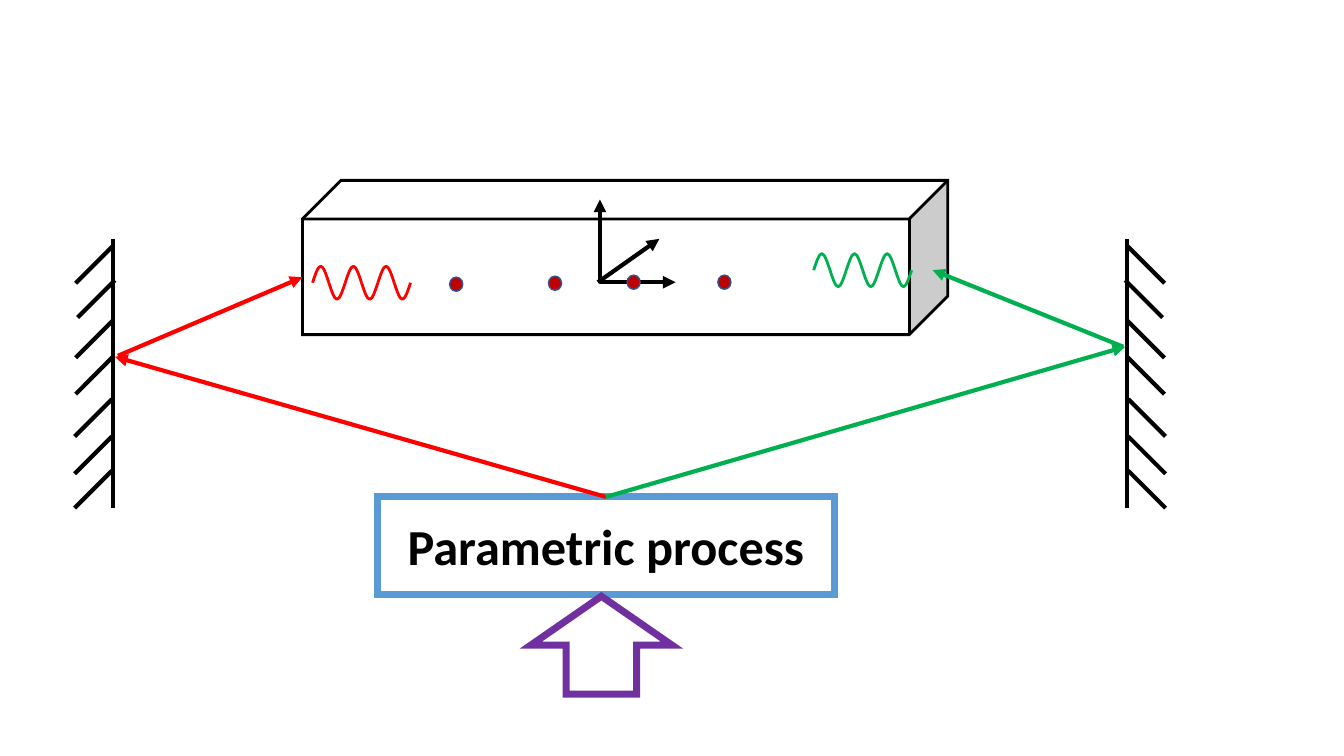
from lxml.etree import SubElement
from pptx import Presentation
from pptx.dml.color import RGBColor
from pptx.enum.shapes import MSO_CONNECTOR, MSO_SHAPE
from pptx.enum.text import MSO_ANCHOR, PP_ALIGN
from pptx.oxml.ns import qn
from pptx.util import Inches, Pt

BLACK = RGBColor(0x00, 0x00, 0x00)
WHITE = RGBColor(0xFF, 0xFF, 0xFF)
RED = RGBColor(0xFF, 0x00, 0x00)
GREEN = RGBColor(0x00, 0xB0, 0x50)
BLUE = RGBColor(0x5B, 0x9B, 0xD5)
PURPLE = RGBColor(0x70, 0x30, 0xA0)
DOT_RED = RGBColor(0xC0, 0x00, 0x00)
DOT_EDGE = RGBColor(0x32, 0x54, 0x91)

CELL = Inches(0.1)  # one column or row of the page grid
LABEL_FORMAT = {"name": "Calibri", "size": Pt(36), "bold": True}

# Two Bezier curves of an arch, as shares of its width and height
ARCH = [(1 / 6, 0.5), (1 / 3, 1), (1 / 2, 1), (2 / 3, 1), (5 / 6, 0.5), (1, 0)]


def cells(count):
    return round(count * CELL)


class Diagram:
    """Style and current page; every length is in grid cells."""

    def __init__(self, page):
        self.page = page

    def outline(self, item, color, width):
        """Set the line and return its element."""
        item.line.color.rgb = color
        item.line.width = Pt(width)
        return item._element.spPr.find(qn("a:ln"))

    def shape(self, kind, left, top, width, height, line, weight, fill=WHITE):
        box = self.page.shapes.add_shape(
            kind, cells(left), cells(top), cells(width), cells(height))
        box.shadow.inherit = False
        box.fill.solid()
        box.fill.fore_color.rgb = fill
        SubElement(self.outline(box, line, weight), qn("a:miter"), lim="800000")
        return box

    def label(self, box, text):
        frame = box.text_frame
        frame.word_wrap = True
        frame.vertical_anchor = MSO_ANCHOR.MIDDLE
        para = frame.paragraphs[0]
        para.alignment = PP_ALIGN.CENTER
        span = para.add_run()
        span.text = text
        for name, value in LABEL_FORMAT.items():
            setattr(span.font, name, value)
        span.font.color.rgb = BLACK

    def line(self, start, end, color=BLACK, arrow=False, group=None):
        holder = group or self.page
        link = holder.shapes.add_connector(
            MSO_CONNECTOR.STRAIGHT, *map(cells, (*start, *end)))
        stroke = self.outline(link, color, 3)
        if arrow:
            SubElement(stroke, qn("a:tailEnd"), type="triangle")
        SubElement(link._element.spPr, qn("a:effectLst"))

    def mirror(self, wall, side):
        """Wall with hatching on one side: -1 is left, 1 is right."""
        group = self.page.shapes.add_group_shape()
        self.line((wall, 23.7), (wall, 50.4), group=group)
        for shift, top in HATCHES:
            start = wall + side * shift
            self.line((start, top), (start + side * 3.7, top + 3.7), group=group)

    def wave(self, left, middle, color, arches=6, width=1.62, height=1.64):
        """Wave made of alternating upper and lower arches."""
        group = self.page.shapes.add_group_shape()
        for arch in range(arches):
            start = left + arch * width
            rise = height * (-1) ** (arch + 1)
            builder = group.shapes.build_freeform(cells(start), cells(middle))
            builder.add_line_segments(
                [(cells(start + x * width), cells(middle + y * rise)) for x, y in ARCH],
                close=False)
            curve = builder.convert_to_shape()
            self.bend(curve)
            curve.shadow.inherit = False
            curve.fill.background()
            self.outline(curve, color, 2)

    def bend(self, curve):
        """Turn each three line segments into one Bezier curve."""
        segments = list(curve._element.iter(qn("a:lnTo")))
        for first in range(0, len(segments), 3):
            bezier = SubElement(segments[first].getparent(), qn("a:cubicBezTo"))
            for segment in segments[first:first + 3]:
                bezier.append(segment[0])
                segment.getparent().remove(segment)


# Hatch starts: distance from the wall, row
HATCHES = [(0, 24.4), (-0.2, 27.8), (0, 31.8), (0, 35.4),
           (0.1, 39.6), (0.1, 43.3), (0.1, 46.7)]
SOURCE = (60.1, 49.3)
BEAMS = [
    (SOURCE, (11.4, 35.4), RED),
    ((11.7, 35.3), (30, 27.5), RED),
    (SOURCE, (111.6, 34.4), GREEN),
    ((111.4, 34.4), (92.5, 26.8), GREEN),
]
AXES = [((59.5, 28), (67, 28)), ((59.5, 28.1), (59.5, 19.8)), ((59.3, 28), (65.4, 23.7))]
DOTS = [(62.2, 27.3), (54.4, 27.4), (71.2, 27.3), (44.6, 27.5)]


def main():
    deck = Presentation()
    deck.slide_width, deck.slide_height = Inches(13.33), Inches(7.5)
    diagram = Diagram(deck.slides.add_slide(deck.slide_layouts[6]))

    # Crystal, process box and pump arrow
    diagram.shape(MSO_SHAPE.CUBE, 30, 17.9, 64, 15.3, BLACK, 2)
    process = diagram.shape(MSO_SHAPE.RECTANGLE, 37.4, 49.3, 45.4, 9.7, BLUE, 5)
    diagram.label(process, "Parametric process")
    pump = diagram.shape(MSO_SHAPE.RIGHT_ARROW, 54.8, 57, 9.7, 14, PURPLE, 5)
    pump.rotation = 270

    # Mirrors
    diagram.mirror(11.2, -1)
    diagram.mirror(111.8, 1)

    # Beams and axes
    for start, end, color in BEAMS:
        diagram.line(start, end, color, arrow=True)
    for start, end in AXES:
        diagram.line(start, end, arrow=True)

    # Atoms
    for left, top in DOTS:
        diagram.shape(MSO_SHAPE.OVAL, left, top, 1.3, 1.4, DOT_EDGE, 1, DOT_RED)

    # Waves
    diagram.wave(31, 28.05, RED)
    diagram.wave(80.7, 26.8, GREEN)

    deck.save("out.pptx")


if __name__ == "__main__":
    main()
